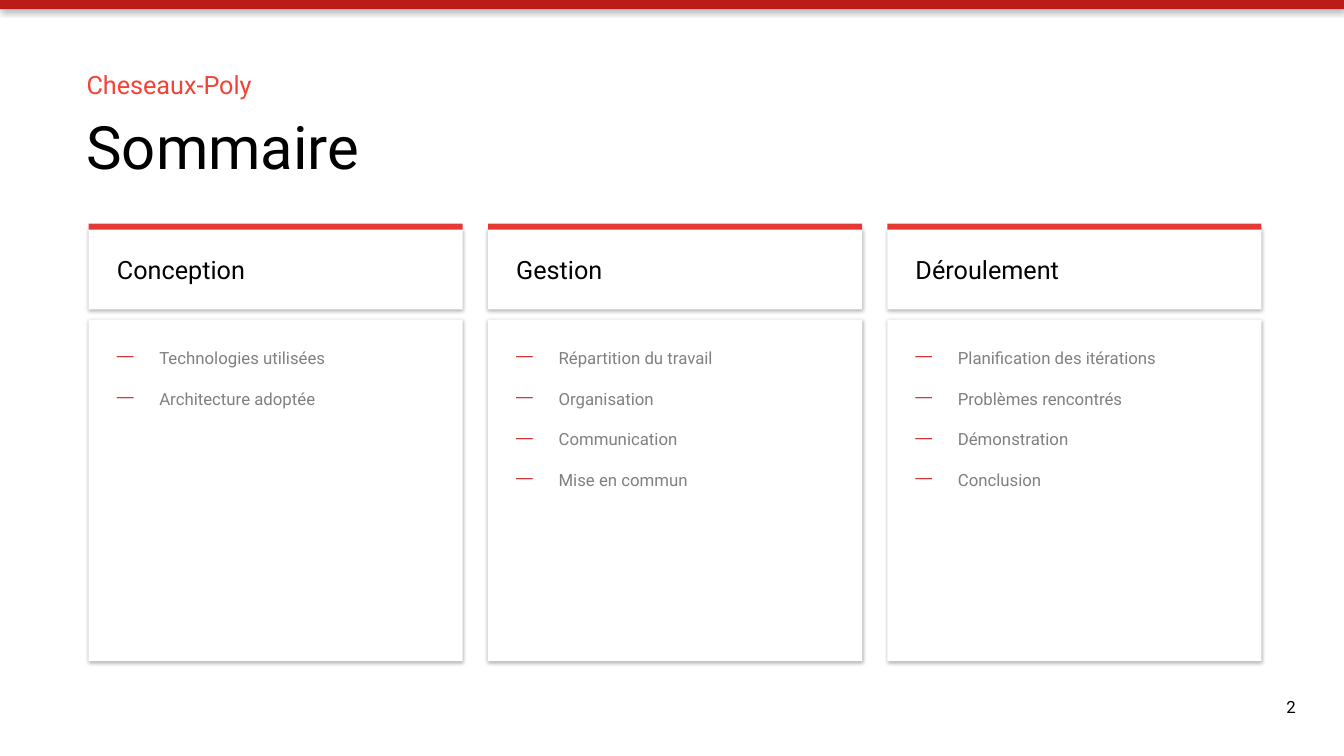
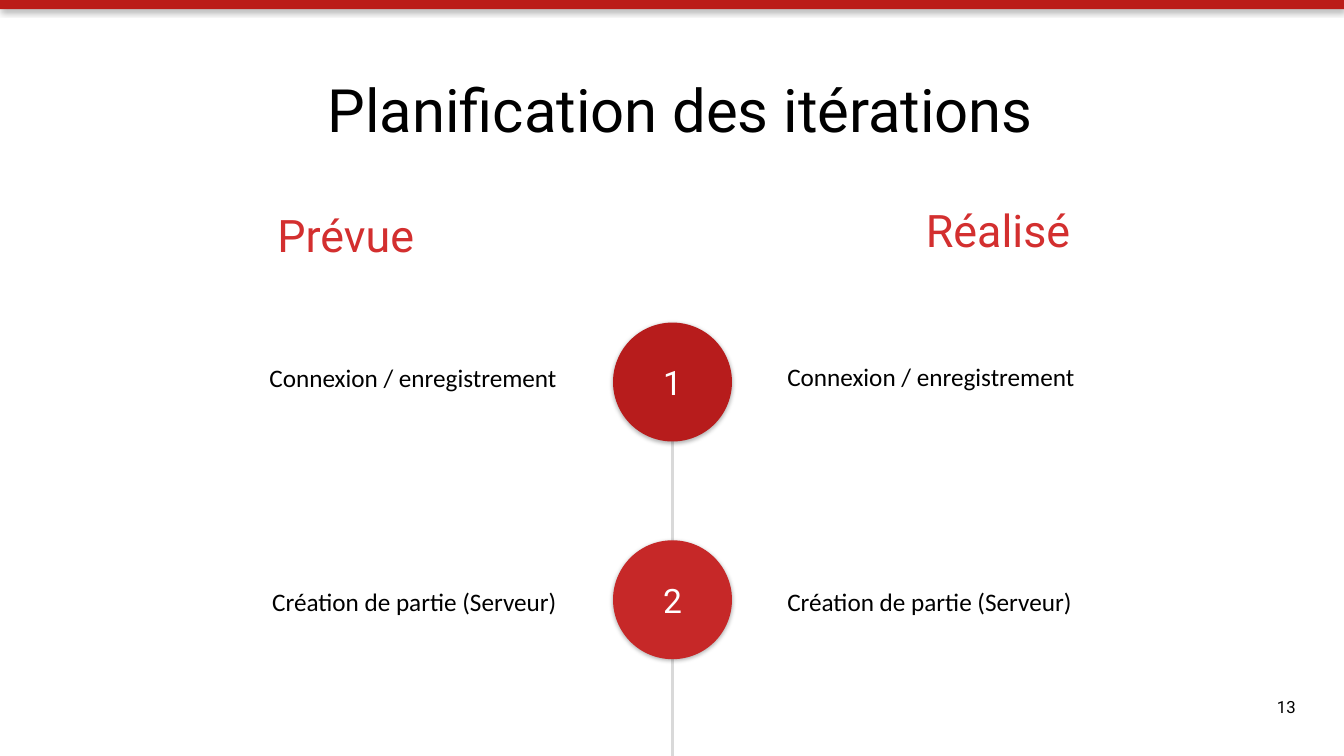
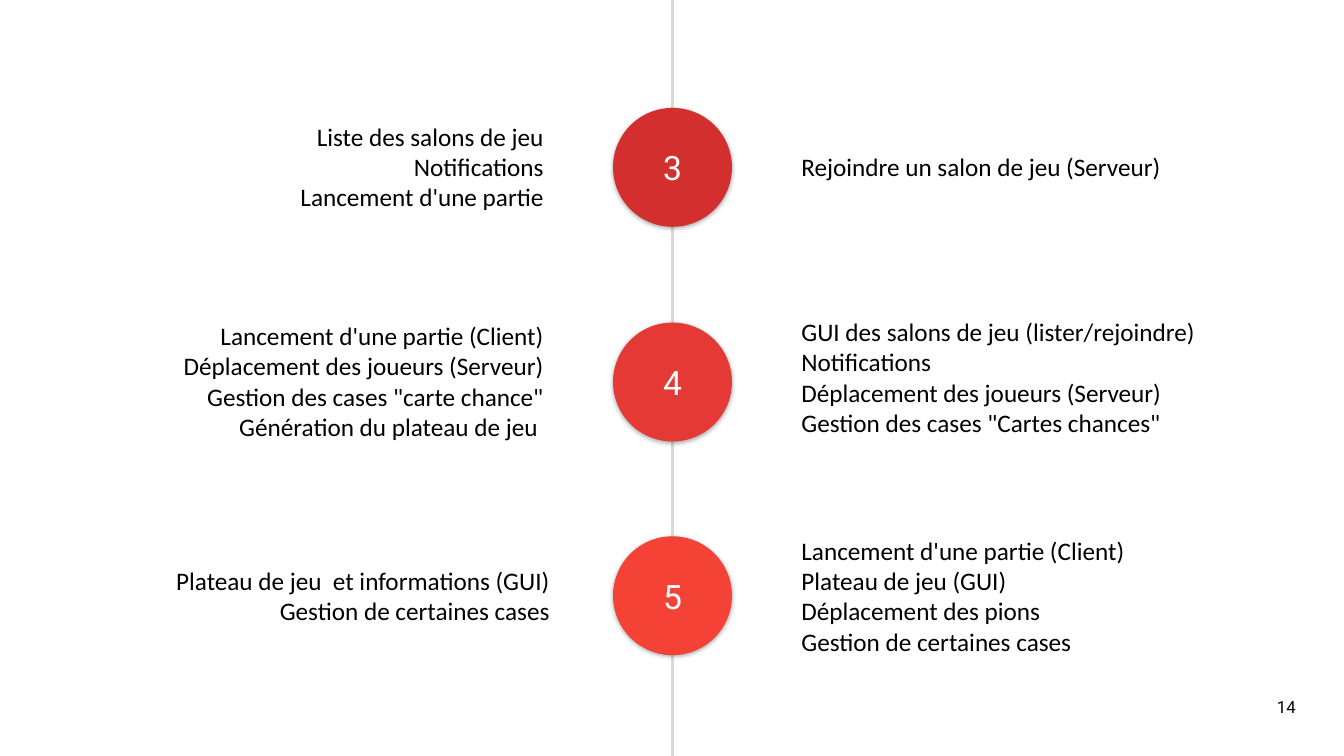
from lxml.etree import SubElement
from pptx import Presentation
from pptx.dml.color import RGBColor
from pptx.enum.shapes import MSO_CONNECTOR as Connector, MSO_SHAPE as Preset
from pptx.enum.text import MSO_ANCHOR as Anchor, PP_ALIGN as Align
from pptx.oxml.ns import qn
from pptx.util import Inches, Pt

# Shared look
BLACK = RGBColor(0x00, 0x00, 0x00)
WHITE = RGBColor(0xFF, 0xFF, 0xFF)
GREY = RGBColor(0x80, 0x80, 0x80)
LINE_GREY = RGBColor(0xD9, 0xD9, 0xD9)
BAND_RED = RGBColor(0xBB, 0x1C, 0x18)
RED_900 = RGBColor(0xB7, 0x1C, 0x1C)
RED_800 = RGBColor(0xC6, 0x28, 0x28)
RED_700 = RGBColor(0xD3, 0x2F, 0x2F)
RED_600 = RGBColor(0xE5, 0x39, 0x35)
RED_500 = RGBColor(0xF4, 0x43, 0x36)
HEAD_FONT, BODY_FONT = "Roboto", "Calibri"
WIDTH, HEIGHT = 13.33, 7.5
MIDDLE = 6.67
TITLE_SIZE = 42.7

# Content
SUBTITLE, SUMMARY_TITLE = "Cheseaux-Poly", "Sommaire"
CARDS = [
    ("Conception", ["Technologies utilisées", "Architecture adoptée"]),
    ("Gestion", ["Répartition du travail", "Organisation",
                 "Communication", "Mise en commun"]),
    ("Déroulement", ["Planification des itérations", "Problèmes rencontrés",
                     "Démonstration", "Conclusion"]),
]
PLAN_TITLE = "Planification des itérations"
# Column heading, left, top
PLAN_HEADINGS = [("Prévue", 0.2, 2.01), ("Réalisé", MIDDLE, 1.96)]
# Number, colour, circle top, (planned left, top, lines), (done left, top, lines)
FIRST_STEPS = [
    ("1", RED_900, 3.2, (0.71, 3.55, ["Connexion / enregistrement"]),
     (7.71, 3.54, ["Connexion / enregistrement"])),
    ("2", RED_800, 5.36, (0.71, 5.77, ["Création de partie (Serveur)"]),
     (7.71, 5.77, ["Création de partie (Serveur)"])),
]
LAST_STEPS = [
    ("3", RED_700, 1.07,
     (0.58, 1.15, ["Liste des salons de jeu", "Notifications",
                   "Lancement d'une partie"]),
     (7.85, 1.45, ["Rejoindre un salon de jeu (Serveur)"])),
    ("4", RED_600, 3.2,
     (0.58, 3.13, ["Lancement d'une partie (Client)",
                   "Déplacement des joueurs (Serveur)",
                   'Gestion des cases "carte chance"',
                   "Génération du plateau de jeu "]),
     (7.85, 3.09, ["GUI des salons de jeu (lister/rejoindre)",
                   "Notifications",
                   "Déplacement des joueurs (Serveur)",
                   'Gestion des cases "Cartes chances"'])),
    ("5", RED_500, 5.32,
     (0.64, 5.56, ["Plateau de jeu  et informations (GUI)",
                   "Gestion de certaines cases"]),
     (7.85, 5.26, ["Lancement d'une partie (Client)", "Plateau de jeu (GUI)",
                   "Déplacement des pions", "Gestion de certaines cases"])),
]


def write(box, lines, size=18, font=HEAD_FONT, color=BLACK, align=Align.LEFT,
          anchor=Anchor.TOP, insets=(0.1, 0.05, 0.1, 0.05), gap=0):
    """Fill a box with one paragraph per line and return the paragraphs."""
    frame = box.text_frame
    frame.word_wrap = True
    frame.vertical_anchor = anchor
    (frame.margin_left, frame.margin_top,
     frame.margin_right, frame.margin_bottom) = map(Inches, insets)
    for index, line in enumerate(lines):
        para = frame.add_paragraph() if index else frame.paragraphs[0]
        para.alignment = align
        para.space_before = Pt(gap if index else 0)
        span = para.add_run()
        span.text = line
        span.font.size = Pt(size)
        span.font.name = font
        span.font.color.rgb = color
    return frame.paragraphs


def add_text(page, left, top, width, height, lines, **style):
    box = page.shapes.add_textbox(*map(Inches, (left, top, width, height)))
    return write(box, lines, **style)


def add_block(page, preset, left, top, width, height, color, blur=0, distance=0):
    """Borderless shape; a blur gives it a soft shadow below."""
    shape = page.shapes.add_shape(preset, *map(Inches, (left, top, width, height)))
    shape.fill.solid()
    shape.fill.fore_color.rgb = color
    shape.line.fill.background()
    shape.shadow.inherit = False
    if blur:
        effects = shape._element.spPr.find(qn("a:effectLst"))
        shadow = SubElement(effects, qn("a:outerShdw"), blurRad=str(Pt(blur)),
                            dist=str(Pt(distance)), dir="5400000",
                            algn="t", rotWithShape="0")
        tint = SubElement(shadow, qn("a:srgbClr"), val=str(BLACK))
        SubElement(tint, qn("a:alpha"), val="30000")
    return shape


def add_dash(para):
    """Red dash bullet with a hanging indent."""
    props = para._p.get_or_add_pPr()
    props.set("marL", str(Inches(0.42)))
    props.set("indent", str(-Inches(0.42)))
    SubElement(SubElement(props, qn("a:buClr")), qn("a:srgbClr"), val=str(RED_700))
    SubElement(props, qn("a:buChar"), char="—")


def add_page(deck, number):
    page = deck.slides.add_slide(deck.slide_layouts[6])
    page.background.fill.solid()
    page.background.fill.fore_color.rgb = WHITE
    add_text(page, 12.51, 6.81, 0.44, 0.4, [number], size=12,
             align=Align.RIGHT, anchor=Anchor.MIDDLE)
    return page


def add_band(page):
    add_block(page, Preset.RECTANGLE, 0, 0, WIDTH, 0.09, BAND_RED, 4, 2)


def add_timeline(page, start, steps):
    line = page.shapes.add_connector(
        Connector.STRAIGHT, *map(Inches, (MIDDLE, start, MIDDLE, HEIGHT)))
    line.line.color.rgb = LINE_GREY
    line.line.width = Pt(2)
    SubElement(line._element.spPr, qn("a:effectLst"))
    for number, color, top, planned, done in steps:
        circle = add_block(page, Preset.OVAL, 6.08, top, 1.18, 1.18, color, 3, 1)
        write(circle, [number], size=24, color=WHITE, align=Align.CENTER,
              anchor=Anchor.MIDDLE)
        sides = [(planned, 4.91, Align.RIGHT), (done, 4.72, Align.LEFT)]
        for (left, text_top, lines), width, align in sides:
            add_text(page, left, text_top, width, 0.1 + 0.3 * len(lines), lines,
                     font=BODY_FONT, align=align)


deck = Presentation()
deck.slide_width, deck.slide_height = Inches(WIDTH), Inches(HEIGHT)

# Summary: three cards
page = add_page(deck, "2")
heading = add_text(page, 0.76, 0.39, 8.21, 1.42, [SUBTITLE, SUMMARY_TITLE],
                   insets=(0.1, 0.3, 0.1, 0.05), gap=6.8)
heading[0].runs[0].font.color.rgb = RED_500
heading[1].runs[0].font.size = Pt(TITLE_SIZE)
for column, (title, items) in enumerate(CARDS):
    left = 0.88 + 3.96 * column
    header = add_block(page, Preset.RECTANGLE, left, 2.27, 3.71, 0.8, WHITE, 3, 1)
    write(header, [title], anchor=Anchor.MIDDLE, insets=(0.28, 0.05, 0.1, 0.05))
    add_block(page, Preset.RECTANGLE, left, 2.22, 3.71, 0.06, RED_600)
    card = add_block(page, Preset.RECTANGLE, left, 3.17, 3.71, 3.39, WHITE, 3, 1)
    for para in write(card, items, size=12, color=GREY, insets=(0.28,) * 4, gap=14.6):
        add_dash(para)
add_band(page)

# Iterations 1 and 2
page = add_page(deck, "13")
add_text(page, 3.15, 0.57, 8.21, 0.89, [PLAN_TITLE], size=TITLE_SIZE,
         insets=(0.1, 0.15, 0.1, 0.05))
for title, left, top in PLAN_HEADINGS:
    add_text(page, left, top, 6.46, 0.64, [title], size=32, color=RED_700,
             align=Align.CENTER)
add_timeline(page, 4.38, FIRST_STEPS)
add_band(page)

# Iterations 3 to 5
page = add_page(deck, "14")
add_timeline(page, 0, LAST_STEPS)

deck.save("out.pptx")
